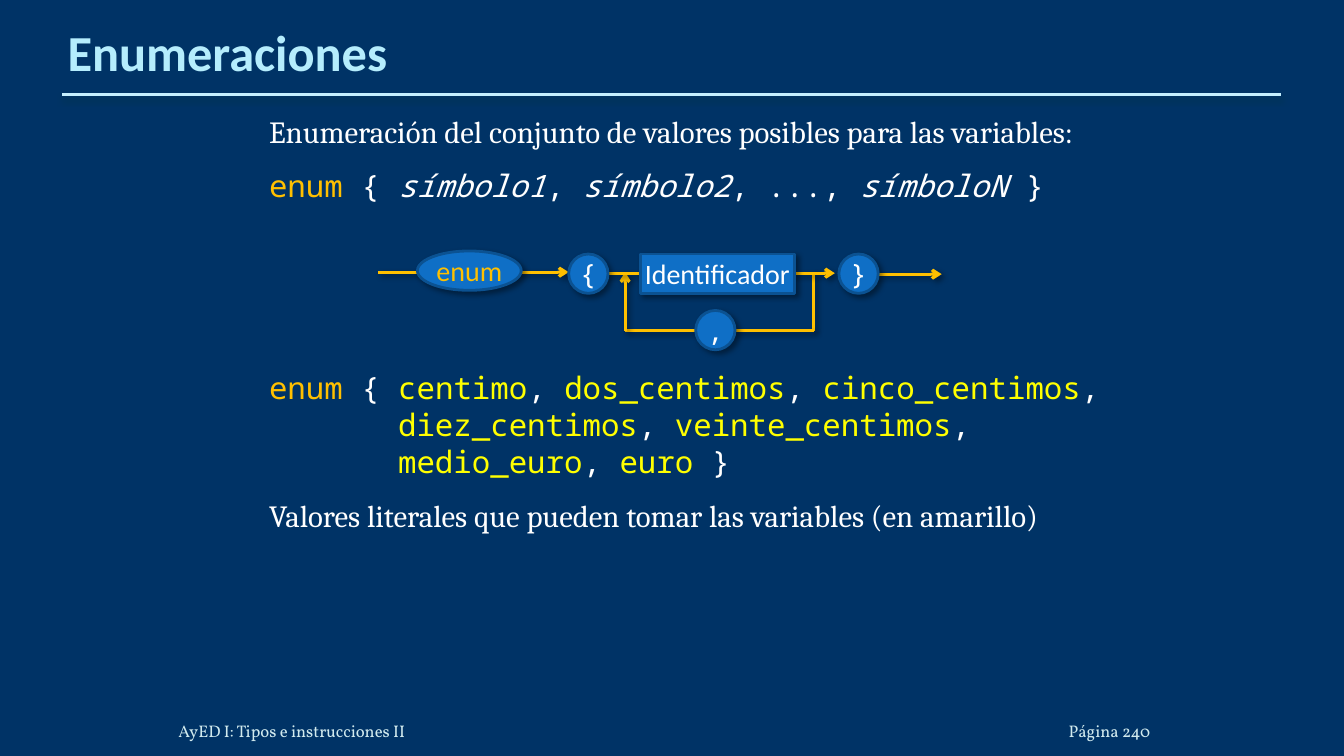
from lxml import etree
from pptx import Presentation
from pptx.dml.color import RGBColor
from pptx.enum.shapes import MSO_CONNECTOR, MSO_SHAPE
from pptx.enum.text import MSO_ANCHOR, PP_ALIGN
from pptx.oxml.ns import qn
from pptx.util import Inches, Pt

NAVY = RGBColor(0x00, 0x33, 0x66)
TITLE_BLUE = RGBColor(0xB5, 0xED, 0xFD)
RULE_BLUE = RGBColor(0xC4, 0xEF, 0xFF)
RULE_SHADOW = RGBColor(0x00, 0x37, 0x4C)
FOOTER_BLUE = RGBColor(0xD1, 0xEA, 0xEE)
NODE_FILL = RGBColor(0x0F, 0x6F, 0xC6)
NODE_LINE = RGBColor(0x0B, 0x52, 0x92)
AMBER = RGBColor(0xFF, 0xC0, 0x00)
YELLOW = RGBColor(0xFF, 0xFF, 0x00)
WHITE = RGBColor(0xFF, 0xFF, 0xFF)
BLACK = RGBColor(0x00, 0x00, 0x00)

SANS, SERIF, MONO, FOOTER_FONT = "Calibri", "Cambria", "Noto Sans Mono", "Vollkorn"
ELLIPSE, RECTANGLE = MSO_SHAPE.OVAL, MSO_SHAPE.RECTANGLE
STRAIGHT = MSO_CONNECTOR.STRAIGHT
MIDDLE, BOTTOM = MSO_ANCHOR.MIDDLE, MSO_ANCHOR.BOTTOM
LEFT, CENTER, RIGHT = PP_ALIGN.LEFT, PP_ALIGN.CENTER, PP_ALIGN.RIGHT

NODE_SIZE = 0.39
ROW_TOP = 2.52
LOOP_LEFT, LOOP_RIGHT, LOOP_TOP, LOOP_BOTTOM = 6.2, 8.07, 2.7, 3.28
TEXT_INDENT = 0.4
CODE_INDENT = 1.28


def style_span(span, size, font, color, bold=False, italic=False):
    """Set the font of one run."""
    span.font.size = Pt(size)
    span.font.name = font
    span.font.color.rgb = color
    span.font.bold = bold
    span.font.italic = italic


def set_margins(frame, side, vertical):
    """Set the inner margins of a text frame in inches."""
    frame.margin_left = frame.margin_right = Inches(side)
    frame.margin_top = frame.margin_bottom = Inches(vertical)


def add_shadow(shape, color=BLACK, alpha=40, blur=4, distance=3, angle=45):
    """Give a shape or connector an outer shadow."""
    effects = etree.SubElement(shape._element.spPr, qn("a:effectLst"))
    outer = etree.SubElement(
        effects, qn("a:outerShdw"), blurRad=str(Pt(blur)), dist=str(Pt(distance)),
        dir=str(angle * 60000), algn="ctr", rotWithShape="0")
    tint = etree.SubElement(outer, qn("a:srgbClr"), val=str(color))
    etree.SubElement(tint, qn("a:alpha"), val=str(alpha * 1000))


def add_line(page, start, end, color=AMBER, arrow=False):
    """Draw a straight line, with an arrowhead at its end if asked."""
    line = page.shapes.add_connector(STRAIGHT, *map(Inches, start + end))
    line.line.color.rgb = color
    line.line.width = Pt(2.25)
    if arrow:
        etree.SubElement(line.line._get_or_add_ln(), qn("a:tailEnd"), type="arrow")
    return line


def add_flow(page, start, end, arrow=False):
    """Draw one line of the syntax diagram."""
    add_shadow(add_line(page, start, end, arrow=arrow))


def add_node(page, kind, left, top, width, text, font, color=WHITE):
    """Draw one labelled symbol of the syntax diagram."""
    node = page.shapes.add_shape(
        kind, Inches(left), Inches(top), Inches(width), Inches(NODE_SIZE))
    node.fill.solid()
    node.fill.fore_color.rgb = NODE_FILL
    node.line.color.rgb = NODE_LINE
    node.line.width = Pt(2)
    add_shadow(node)
    frame = node.text_frame
    set_margins(frame, 0, 0.05)
    frame.vertical_anchor = MIDDLE
    frame.text = text
    para = frame.paragraphs[0]
    para.alignment = CENTER
    style_span(para.runs[0], 20, font, color)


def add_label(page, place, text, size, font, color, align=LEFT, bold=False, inset=0):
    """Add a single line of text that sits at the bottom of its box."""
    frame = page.shapes.add_textbox(*map(Inches, place)).text_frame
    frame.word_wrap = True
    frame.vertical_anchor = BOTTOM
    set_margins(frame, 0, inset)
    frame.text = text
    para = frame.paragraphs[0]
    para.alignment = align
    style_span(para.runs[0], size, font, color, bold=bold)


def add_para(para, spans, before=0, after=0, hanging=0):
    """Fill a body paragraph with (text, font, color, italic) spans."""
    para.line_spacing = Pt(26.4)
    para.space_before = Pt(before)
    para.space_after = Pt(after)
    properties = para._p.get_or_add_pPr()
    properties.set("marL", str(Inches(TEXT_INDENT + hanging)))
    properties.set("indent", str(-Inches(hanging)))
    for text, font, color, italic in spans:
        if text == "\n":
            para.add_line_break()
            continue
        span = para.add_run()
        span.text = text
        style_span(span, 22, font, color, italic=italic)


def code_spans(lines, color, italic):
    """Build the spans of an enum whose symbols are set apart by style."""
    spans = [("enum", MONO, AMBER, False), (" { ", MONO, WHITE, False)]
    for row, symbols in enumerate(lines):
        for position, symbol in enumerate(symbols):
            if position:
                spans.append((", ", MONO, WHITE, False))
            plain = symbol == "..."
            spans.append((symbol, MONO, WHITE if plain else color, italic and not plain))
        if row < len(lines) - 1:
            spans += [(",", MONO, WHITE, False), ("\n", MONO, WHITE, False)]
    return spans + [(" }", MONO, WHITE, False)]


def add_body(page):
    """Add the explanation and the two enum declarations."""
    box = page.shapes.add_textbox(Inches(2.17), Inches(1.07), Inches(9.15), Inches(5.59))
    frame = box.text_frame
    frame.word_wrap = True
    intro = "Enumeración del conjunto de valores posibles para las variables:"
    closing = "Valores literales que pueden tomar las variables (en amarillo)"
    syntax = [["símbolo1", "símbolo2", "...", "símboloN"]]
    coins = [["centimo", "dos_centimos", "cinco_centimos"],
             ["diez_centimos", "veinte_centimos"],
             ["medio_euro", "euro"]]
    add_para(frame.paragraphs[0], [(intro, SERIF, WHITE, False)], after=6)
    add_para(frame.add_paragraph(), code_spans(syntax, WHITE, True), before=6, after=12)
    add_para(frame.add_paragraph(), code_spans(coins, YELLOW, False),
             before=106, hanging=CODE_INDENT)
    add_para(frame.add_paragraph(), [(closing, SERIF, WHITE, False)], before=12, after=6)


def add_diagram(page):
    """Draw the syntax diagram of an enum."""
    add_flow(page, (3.75, 2.7), (5.64, 2.7), arrow=True)
    add_node(page, ELLIPSE, 4.14, 2.49, 1.03, "enum", SANS, AMBER)
    add_flow(page, (LOOP_RIGHT, LOOP_BOTTOM), (LOOP_RIGHT, LOOP_TOP))
    add_flow(page, (LOOP_LEFT, LOOP_BOTTOM), (LOOP_RIGHT, LOOP_BOTTOM))
    add_flow(page, (LOOP_LEFT, LOOP_BOTTOM), (LOOP_LEFT, LOOP_TOP), arrow=True)
    add_node(page, ELLIPSE, 6.9, 3.08, NODE_SIZE, ",", MONO)
    add_flow(page, (5.88, 2.71), (8.28, 2.71), arrow=True)
    add_node(page, ELLIPSE, 5.64, ROW_TOP, NODE_SIZE, "{", MONO)
    add_node(page, RECTANGLE, 6.35, ROW_TOP, 1.53, "Identificador", SANS)
    add_flow(page, (8.54, 2.72), (9.34, 2.72), arrow=True)
    add_node(page, ELLIPSE, 8.32, ROW_TOP, NODE_SIZE, "}", MONO)


def main():
    """Build the slide and save the deck."""
    deck = Presentation()
    deck.slide_width, deck.slide_height = Inches(13.33), Inches(7.5)
    page = deck.slides.add_slide(deck.slide_layouts[6])
    page.background.fill.solid()
    page.background.fill.fore_color.rgb = NAVY
    rule = add_line(page, (0.62, 0.94), (12.71, 0.94), RULE_BLUE)
    add_shadow(rule, RULE_SHADOW, alpha=48, blur=4.5, distance=3, angle=90)
    add_label(page, (0.67, 0.31, 12, 0.55), "Enumeraciones", 36, SANS, TITLE_BLUE,
              bold=True, inset=0.05)
    add_body(page)
    add_label(page, (10.1, 6.95, 1.31, 0.4), "Página 240", 12, FOOTER_FONT, FOOTER_BLUE, RIGHT)
    add_label(page, (1.77, 6.95, 8.13, 0.4), "AyED I: Tipos e instrucciones II", 12,
              FOOTER_FONT, FOOTER_BLUE)
    add_diagram(page)
    deck.save("out.pptx")


if __name__ == "__main__":
    main()
